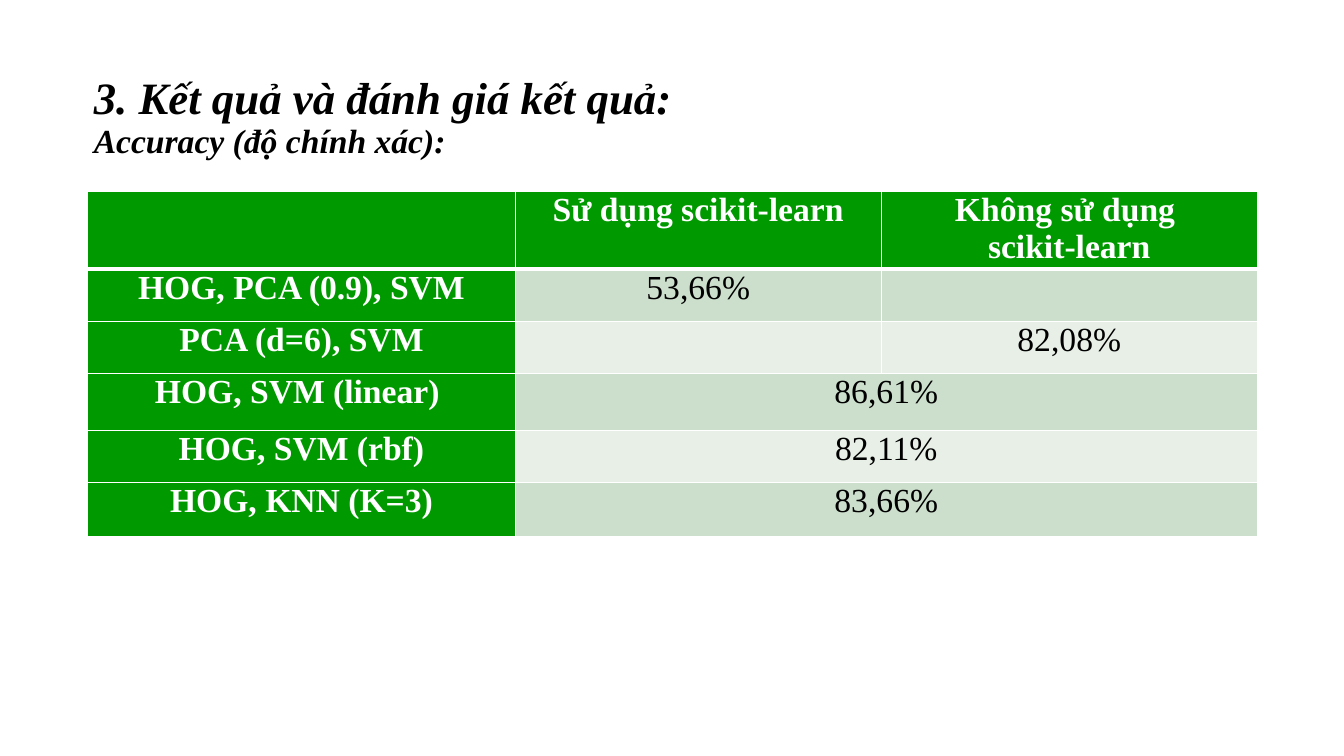
from copy import deepcopy
from dataclasses import dataclass

from lxml.etree import SubElement
from pptx import Presentation
from pptx.dml.color import RGBColor
from pptx.enum.text import MSO_ANCHOR as ANCHOR, PP_ALIGN as ALIGN
from pptx.oxml.ns import qn
from pptx.util import Inches, Pt


@dataclass(frozen=True)
class Theme:
    font: str = "Times New Roman"
    ink: str = "000000"
    white: str = "FFFFFF"
    green: str = "009900"
    bands: tuple = ("CCDECC", "E7EFE7")
    title_size: int = 32
    body_size: int = 24
    thin: int = 1
    thick: int = 3


def add_run(p, text, *, font, size, color, bold=False, italic=False):
    r = p.add_run()
    r.text = text
    r.font.name = font
    r.font.size = Pt(size)
    r.font.bold = bold
    r.font.italic = italic
    r.font.color.rgb = RGBColor.from_string(color)
    return r


class SlideBuilder:
    def __init__(self, prs, theme):
        self.theme = theme
        self.slide = prs.slides.add_slide(prs.slide_layouts[5])

    def title(self, heading, subheading, left, top, width, height):
        th = self.theme
        sp = self.slide.shapes.title
        sp.left, sp.top = Inches(left), Inches(top)
        sp.width, sp.height = Inches(width), Inches(height)
        tf = sp.text_frame
        tf.word_wrap = True
        tf.vertical_anchor = ANCHOR.MIDDLE
        p = tf.paragraphs[0]
        p.alignment = ALIGN.LEFT
        p.line_spacing = 0.9
        style = dict(font=th.font, color=th.ink, bold=True, italic=True)
        r = add_run(p, heading, size=th.title_size, **style)
        # The line break takes the heading's type size
        p.add_line_break()
        p._p[-1].append(deepcopy(r._r.rPr))
        add_run(p, subheading, size=th.body_size, **style)

    def borders(self, cell, top, bottom):
        tcPr = cell._tc.get_or_add_tcPr()
        thin = self.theme.thin
        for side, width in (("L", thin), ("R", thin), ("T", top), ("B", bottom)):
            ln = SubElement(tcPr, qn(f"a:ln{side}"), w=str(Pt(width)))
            fill = SubElement(ln, qn("a:solidFill"))
            SubElement(fill, qn("a:srgbClr"), val=self.theme.white)

    def cell(self, cell, text, row, col):
        th = self.theme
        label = row == 0 or col == 0
        self.borders(cell, top=th.thick if row == 1 else th.thin,
                     bottom=th.thick if row == 0 else th.thin)
        cell.fill.solid()
        fill = th.green if label else th.bands[(row - 1) % 2]
        cell.fill.fore_color.rgb = RGBColor.from_string(fill)
        if not text:
            return
        cell.margin_left = cell.margin_right = Inches(0.07)
        cell.margin_top = cell.margin_bottom = 0
        tf = cell.text_frame
        for i, line in enumerate(text.split("\n")):
            p = tf.add_paragraph() if i else tf.paragraphs[0]
            p.alignment = ALIGN.CENTER
            add_run(p, line, font=th.font, size=th.body_size, bold=label,
                    color=th.white if label else th.ink)

    def table(self, rows, left, top, widths, heights):
        frame = self.slide.shapes.add_table(
            len(rows), len(widths), Inches(left), Inches(top),
            Inches(sum(widths)), Inches(sum(heights)))
        tbl = frame.table
        for column, width in zip(tbl.columns, widths):
            column.width = Inches(width)
        for row, height in zip(tbl.rows, heights):
            row.height = Inches(height)
        for i, texts in enumerate(rows):
            # A short row spreads its last value to the right edge
            if len(texts) < len(widths):
                tbl.cell(i, len(texts) - 1).merge(tbl.cell(i, len(widths) - 1))
            for j in range(len(widths)):
                text = texts[j] if j < len(texts) else ""
                self.cell(tbl.cell(i, j), text, i, j)


ACCURACY = [
    ("", "Sử dụng scikit-learn", "Không sử dụng \nscikit-learn"),
    ("HOG, PCA (0.9), SVM", "53,66%", ""),
    ("PCA (d=6), SVM", "", "82,08%"),
    ("HOG, SVM (linear) ", "86,61%"),
    ("HOG, SVM (rbf)", "82,11%"),
    ("HOG, KNN (K=3)", "83,66%"),
]


def main():
    prs = Presentation()
    prs.slide_width, prs.slide_height = Inches(13.33), Inches(7.5)
    page = SlideBuilder(prs, Theme())

    # Heading
    page.title("3. Kết quả và đánh giá kết quả:", "Accuracy (độ chính xác):",
               0.83, 0.45, 11.5, 1.45)

    # Accuracy by method
    page.table(ACCURACY, 0.87, 1.9, widths=(4.24, 3.63, 3.73),
               heights=(0.77, 0.52, 0.52, 0.56, 0.52, 0.53))

    prs.save("out.pptx")


if __name__ == "__main__":
    main()
